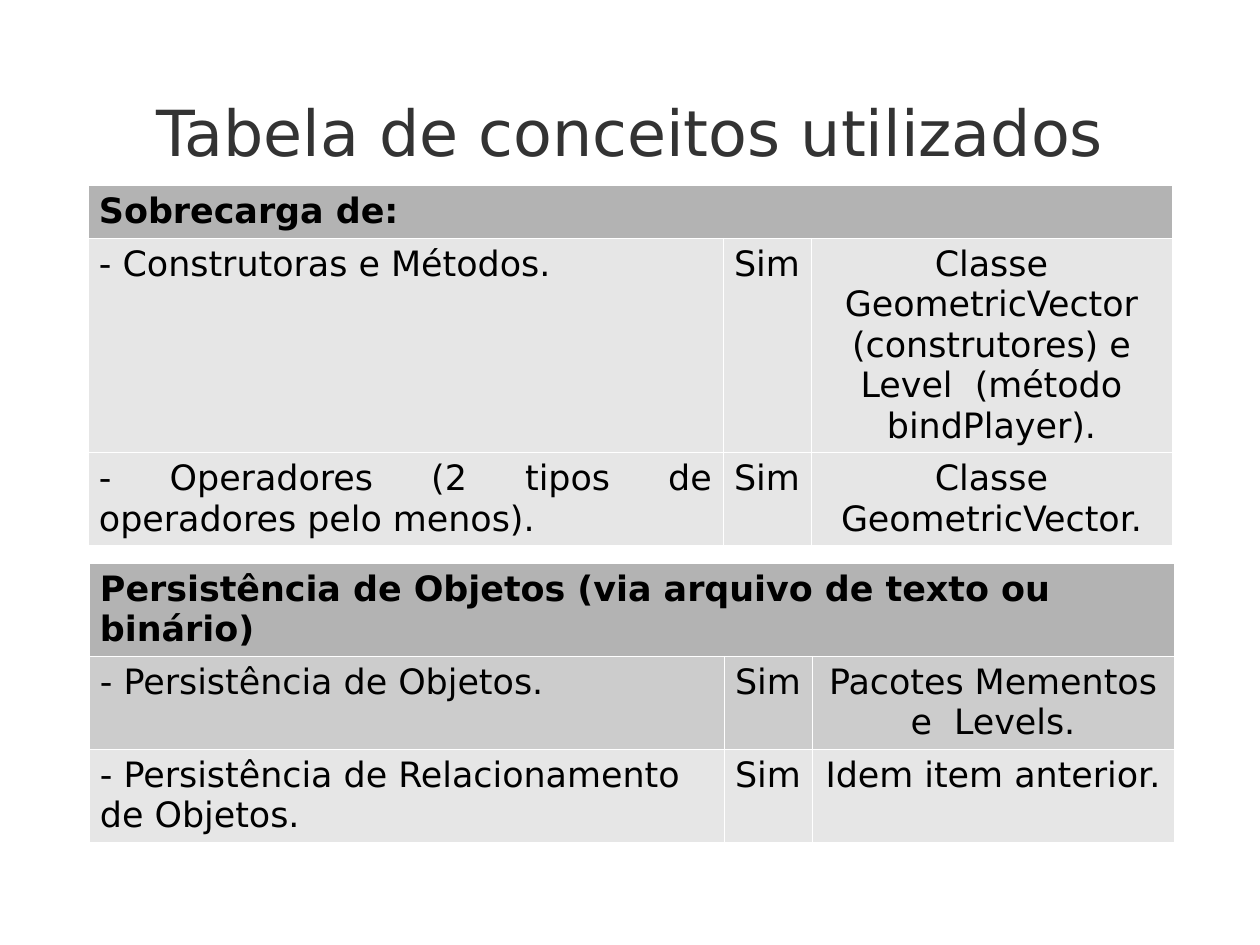
import dataclasses

import pptx
import pptx.dml.color
import pptx.enum.text
import pptx.oxml
import pptx.oxml.ns
import pptx.util

EMU_PER_PX = 8000
ALIGN = pptx.enum.text.PP_ALIGN
ANCHOR = pptx.enum.text.MSO_ANCHOR


@dataclasses.dataclass(frozen=True)
class Theme:
    font: str = "DejaVu Sans"
    title_size: int = 40
    cell_size: int = 22
    title_color: str = "333333"
    cell_color: str = "000000"
    heading_fill: str = "B3B3B3"
    dark_fill: str = "CCCCCC"
    light_fill: str = "E6E6E6"
    border_color: str = "FFFFFF"
    border_width: float = 0.06
    cell_side_margin: int = 11


THEME = Theme()


@dataclasses.dataclass(frozen=True)
class Concept:
    name: str
    used: str
    where: str
    fill: str
    height: int


@dataclasses.dataclass(frozen=True)
class ConceptTable:
    heading: str
    heading_height: int
    left: int
    top: int
    columns: tuple[int, int, int]
    name_align: ALIGN
    concepts: tuple[Concept, ...]


TABLES = (
    ConceptTable(
        "Sobrecarga de:", 53, 88, 185, (635, 88, 361), ALIGN.JUSTIFY,
        (
            Concept("- Construtoras e Métodos.", "Sim",
                    "Classe GeometricVector (construtores) e Level  (método bindPlayer).",
                    THEME.light_fill, 214),
            Concept("- Operadores (2 tipos de operadores pelo menos).", "Sim",
                    "Classe GeometricVector.", THEME.light_fill, 93),
        ),
    ),
    ConceptTable(
        "Persistência de Objetos (via arquivo de texto ou binário)",
        93, 89, 563, (635, 88, 362), ALIGN.LEFT,
        (
            Concept("- Persistência de Objetos.", "Sim",
                    "Pacotes Mementos e  Levels.", THEME.dark_fill, 93),
            Concept("- Persistência de Relacionamento de Objetos.", "Sim",
                    "Idem item anterior.", THEME.light_fill, 93),
        ),
    ),
)


def px(length: int) -> pptx.util.Emu:
    return pptx.util.Emu(length * EMU_PER_PX)


def rgb(color: str) -> pptx.dml.color.RGBColor:
    return pptx.dml.color.RGBColor.from_string(color)


def write(frame, text: str, *, size: int, color: str, align: ALIGN,
          bold: bool = False) -> None:
    frame.word_wrap = True
    para = frame.paragraphs[0]
    para.alignment = align
    span = para.add_run()
    span.text = text
    span.font.name = THEME.font
    span.font.size = pptx.util.Pt(size)
    span.font.bold = bold
    span.font.color.rgb = rgb(color)


def add_borders(cell) -> None:
    properties = cell._tc.get_or_add_tcPr()
    width = int(pptx.util.Pt(THEME.border_width))
    for index, side in enumerate(("lnL", "lnR", "lnT", "lnB")):
        properties.insert(index, pptx.oxml.parse_xml(
            f'<a:{side} {pptx.oxml.ns.nsdecls("a")} w="{width}"><a:solidFill>'
            f'<a:srgbClr val="{THEME.border_color}"/></a:solidFill></a:{side}>'))


def fill_cell(cell, text: str, fill: str, align: ALIGN, bold: bool = False) -> None:
    cell.fill.solid()
    cell.fill.fore_color.rgb = rgb(fill)
    cell.margin_left = cell.margin_right = px(THEME.cell_side_margin)
    add_borders(cell)
    if text:
        write(cell.text_frame, text, size=THEME.cell_size,
              color=THEME.cell_color, align=align, bold=bold)


def add_title(page, text: str) -> None:
    box = page.shapes.title
    box.left, box.top, box.width, box.height = px(88), px(56), px(1084), px(150)
    frame = box.text_frame
    frame.margin_left = frame.margin_right = 0
    frame.margin_top = frame.margin_bottom = 0
    frame.vertical_anchor = ANCHOR.MIDDLE
    frame.auto_size = pptx.enum.text.MSO_AUTO_SIZE.NONE
    write(frame, text, size=THEME.title_size, color=THEME.title_color,
          align=ALIGN.CENTER)


def add_concept_table(page, item: ConceptTable) -> None:
    heights = [item.heading_height] + [concept.height for concept in item.concepts]
    table = page.shapes.add_table(
        len(heights), len(item.columns), px(item.left), px(item.top),
        px(sum(item.columns)), px(sum(heights))).table
    table.first_row = table.horz_banding = False
    for column, width in zip(table.columns, item.columns):
        column.width = px(width)
    for row, height in zip(table.rows, heights):
        row.height = px(height)

    # Heading across all columns
    for index, text in enumerate((item.heading, "", "")):
        fill_cell(table.cell(0, index), text, THEME.heading_fill, ALIGN.LEFT, bold=True)
    table.cell(0, 0).merge(table.cell(0, len(item.columns) - 1))

    # One row per concept
    aligns = (item.name_align, ALIGN.CENTER, ALIGN.CENTER)
    for row_index, concept in enumerate(item.concepts, start=1):
        texts = (concept.name, concept.used, concept.where)
        for index, (text, align) in enumerate(zip(texts, aligns)):
            fill_cell(table.cell(row_index, index), text, concept.fill, align)


def main() -> None:
    deck = pptx.Presentation()
    deck.slide_width, deck.slide_height = px(1260), px(945)
    page = deck.slides.add_slide(deck.slide_layouts.get_by_name("Title Only"))
    add_title(page, "Tabela de conceitos utilizados")
    for item in TABLES:
        add_concept_table(page, item)
    deck.save("out.pptx")


if __name__ == "__main__":
    main()
